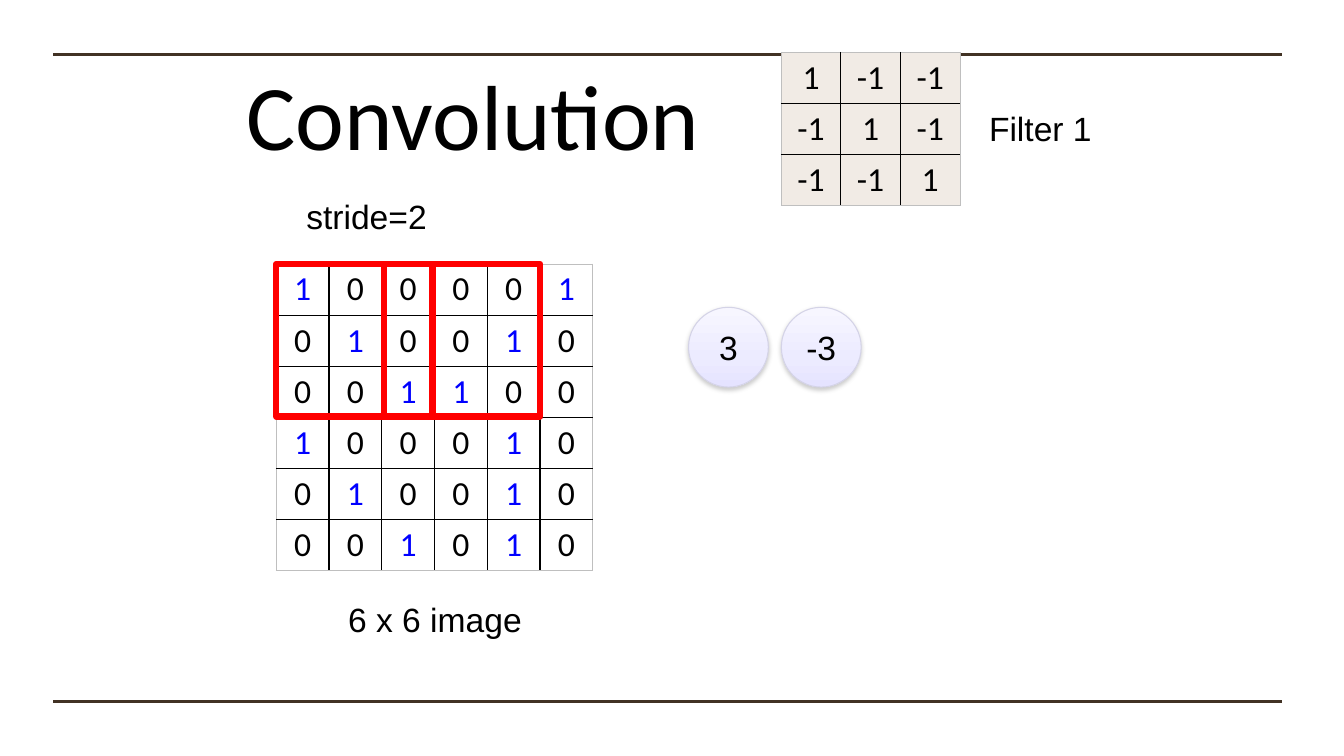
from lxml import etree
from pptx import Presentation
from pptx.dml.color import RGBColor
from pptx.enum.shapes import MSO_CONNECTOR, MSO_SHAPE
from pptx.enum.text import MSO_ANCHOR, PP_ALIGN
from pptx.oxml.ns import qn
from pptx.util import Pt

LEFT, CENTER = PP_ALIGN.LEFT, PP_ALIGN.CENTER
MIDDLE = MSO_ANCHOR.MIDDLE
RECTANGLE, OVAL = MSO_SHAPE.RECTANGLE, MSO_SHAPE.OVAL
STRAIGHT = MSO_CONNECTOR.STRAIGHT

# Content
TITLE = "Convolution"
IMAGE = ["100001", "010010", "001100", "100010", "010010", "001010"]
FILTER = [(1, -1, -1), (-1, 1, -1), (-1, -1, 1)]
RESULTS = ["3", "-3"]
LABELS = [  # text, left, top, width, height, alignment, wrap
    ("6 x 6 image", 218.2, 424, 185, 36, CENTER, True),
    ("Filter 1", 686.2, 73.5, 113.8, 36.5, CENTER, True),
    ("stride=2", 211.7, 136.2, 101.5, 36, LEFT, False),
]
COLORS = {
    "rule": "413224", "text": "000000", "one": "0000FF", "grid": "000000",
    "edge": "BFBFBF", "filter": "F1EBE5", "window": "FF0000",
    "circle line": "D4D3E7", "shadow": "808080",
}
CIRCLE_STOPS = [(0, "F7F6FF"), (65, "ECEBFF"), (100, "E5E3FF")]

# Layout, in points
RULE_LEFT, RULE_RIGHT, RULE_TOPS = 38, 916, (38.7, 501.2)
ROW_HEIGHT = 36.5
IMAGE_LEFT, IMAGE_TOP, IMAGE_COLUMN = 197.3, 188.6, 37.7
FILTER_LEFT, FILTER_TOP, FILTER_COLUMN = 558, 37.4, 42.6
WINDOW_WIDTH, WINDOW_HEIGHT, WINDOW_STEP = 111.6, 108.9, 77
CIRCLE_LEFT, CIRCLE_TOP, CIRCLE_SIZE, CIRCLE_STEP = 491.8, 219.5, 57, 66.3


def rgb(name):
    return RGBColor.from_string(COLORS[name])


def add_child(parent, tag, **attributes):
    return etree.SubElement(parent, qn(tag), attributes)


def write(frame, text, size=24, font="Arial", color="text", align=CENTER):
    para = frame.paragraphs[0]
    para.alignment = align
    span = para.add_run()
    span.text = text
    span.font.size, span.font.name = Pt(size), font
    span.font.color.rgb = rgb(color)


def set_border(cell, side, color, width):
    line = add_child(cell._tc.get_or_add_tcPr(), side, w=str(Pt(width)))
    add_child(add_child(line, "a:solidFill"), "a:srgbClr", val=COLORS[color])


def add_grid(slide, rows, left, top, column_width, fill=None, one="text"):
    count, last = len(rows[0]), len(rows) - 1
    table = slide.shapes.add_table(
        len(rows), count, Pt(left), Pt(top),
        Pt(column_width * count), Pt(ROW_HEIGHT * len(rows))).table
    table.first_row = table.horz_banding = False
    for column in table.columns:
        column.width = Pt(column_width)
    for r, values in enumerate(rows):
        table.rows[r].height = Pt(ROW_HEIGHT)
        for c, value in enumerate(values):
            cell = table.cell(r, c)
            outer = {"a:lnL": c == 0, "a:lnR": c == count - 1,
                     "a:lnT": r == 0, "a:lnB": r == last}
            for side, is_edge in outer.items():
                set_border(cell, side, "edge" if is_edge else "grid",
                           0.75 if is_edge else 1)
            if fill:
                cell.fill.solid()
                cell.fill.fore_color.rgb = rgb(fill)
            else:
                cell.fill.background()
            text = str(value)
            write(cell.text_frame, text, font="Calibri",
                  color=one if text == "1" else "text")


def add_outline(slide, kind, left, top, width, height, color, line_width):
    shape = slide.shapes.add_shape(kind, Pt(left), Pt(top), Pt(width), Pt(height))
    shape.shadow.inherit = False
    shape.fill.background()
    shape.line.color.rgb = rgb(color)
    shape.line.width = Pt(line_width)
    return shape


def add_window(slide, index):
    add_outline(slide, RECTANGLE, IMAGE_LEFT + index * WINDOW_STEP, IMAGE_TOP,
                WINDOW_WIDTH, WINDOW_HEIGHT, "window", 4.5)


def add_result(slide, index, text):
    circle = add_outline(slide, OVAL, CIRCLE_LEFT + index * CIRCLE_STEP, CIRCLE_TOP,
                         CIRCLE_SIZE, CIRCLE_SIZE, "circle line", 0.75)
    # Three-stop gradient running downwards
    circle.fill.gradient()
    circle.fill.gradient_angle = 270
    properties = circle._element.spPr
    stops = properties.find(qn("a:gradFill")).find(qn("a:gsLst"))
    for stop in list(stops):
        stops.remove(stop)
    for position, color in CIRCLE_STOPS:
        stop = add_child(stops, "a:gs", pos=str(position * 1000))
        add_child(stop, "a:srgbClr", val=color)
    # Soft shadow below
    shadow = add_child(properties.find(qn("a:effectLst")), "a:outerShdw",
                       blurRad=str(Pt(3.1)), dist=str(Pt(1.6)),
                       dir="5400000", rotWithShape="0")
    tint = add_child(shadow, "a:srgbClr", val=COLORS["shadow"])
    add_child(tint, "a:alpha", val="38000")
    frame = circle.text_frame
    frame.vertical_anchor = MIDDLE
    write(frame, text)


def main():
    deck = Presentation()
    deck.slide_width, deck.slide_height = Pt(960), Pt(540)
    page = deck.slides.add_slide(deck.slide_layouts[5])

    # Rules above and below
    for top in RULE_TOPS:
        rule = page.shapes.add_connector(
            STRAIGHT, Pt(RULE_LEFT), Pt(top), Pt(RULE_RIGHT), Pt(top))
        rule.line.color.rgb = rgb("rule")
        rule.line.width = Pt(2.25)
        add_child(rule._element.spPr, "a:effectLst")

    # Title
    title = page.shapes.title
    title.left, title.top, title.width, title.height = Pt(169), Pt(29), Pt(621), Pt(104)
    title.text_frame.vertical_anchor = MIDDLE
    write(title.text_frame, TITLE, size=66, font="Calibri", align=LEFT)

    # Image and filter grids
    add_grid(page, IMAGE, IMAGE_LEFT, IMAGE_TOP, IMAGE_COLUMN, one="one")
    add_grid(page, FILTER, FILTER_LEFT, FILTER_TOP, FILTER_COLUMN, fill="filter")

    # One window on the image for each result
    for index, text in enumerate(RESULTS):
        add_window(page, index)
        add_result(page, index, text)

    # Labels
    for text, left, top, width, height, align, wrap in LABELS:
        box = page.shapes.add_textbox(Pt(left), Pt(top), Pt(width), Pt(height))
        box.text_frame.word_wrap = wrap
        write(box.text_frame, text, align=align)

    deck.save("out.pptx")


if __name__ == "__main__":
    main()
